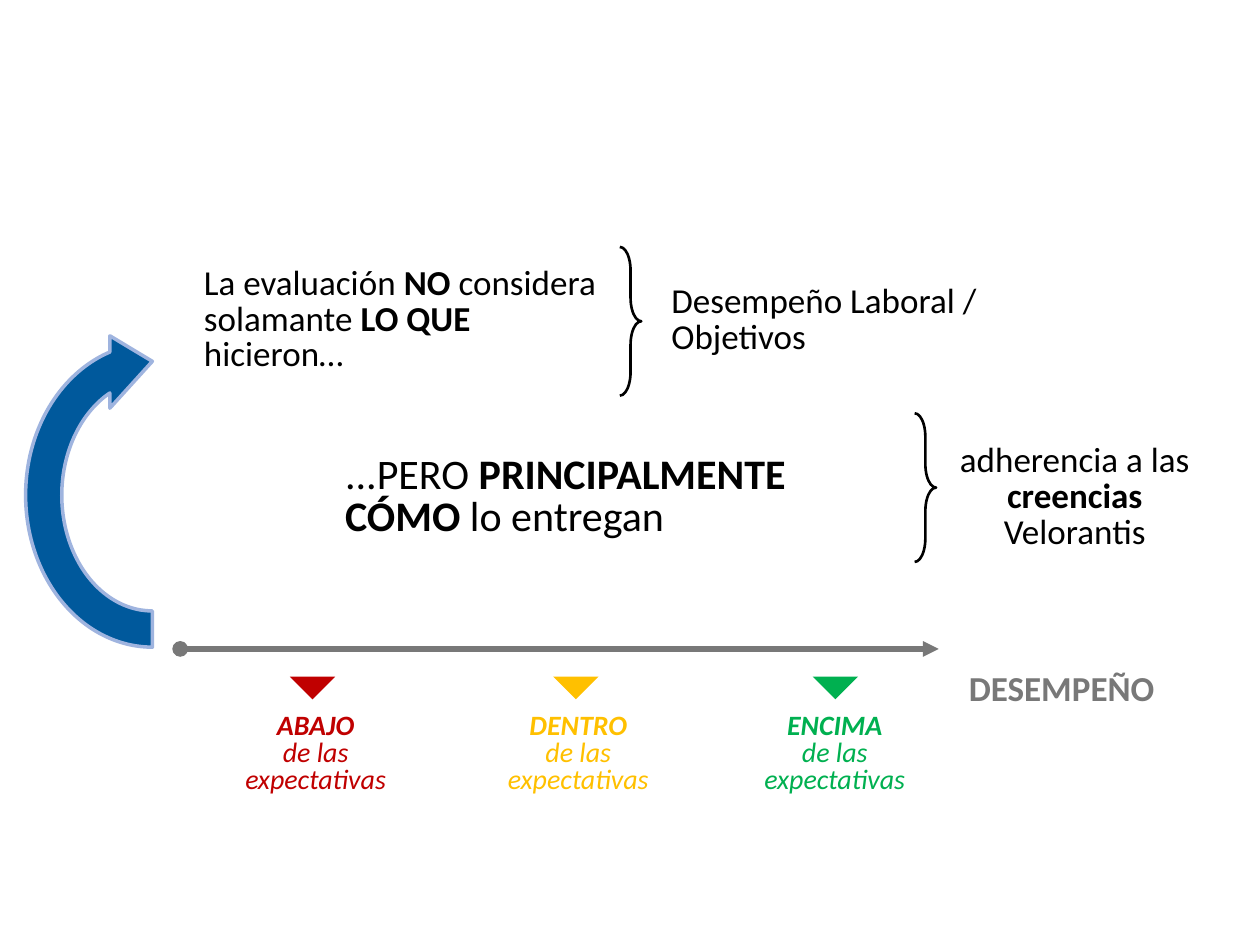
from lxml.etree import SubElement
from pptx import Presentation
from pptx.dml.color import RGBColor
from pptx.enum.shapes import MSO_CONNECTOR, MSO_SHAPE
from pptx.enum.text import MSO_ANCHOR, PP_ALIGN
from pptx.oxml.ns import qn
from pptx.util import Inches, Pt

BLACK = RGBColor(0x00, 0x00, 0x00)
BLUE = RGBColor(0x00, 0x59, 0x9C)
LIGHT_BLUE = RGBColor(0x9F, 0xB4, 0xDF)
GREY = RGBColor(0x78, 0x78, 0x78)
RED = RGBColor(0xC0, 0x00, 0x00)
AMBER = RGBColor(0xFF, 0xC0, 0x00)
GREEN = RGBColor(0x00, 0xB0, 0x50)


def add_text(shapes, box, runs, size=20, color=BLACK, align=PP_ALIGN.LEFT,
             anchor=MSO_ANCHOR.TOP, spacing=0.85, italic=False):
    """Add a text box; runs are (text, bold) pairs, a newline is a line break."""
    tf = shapes.add_textbox(*map(Inches, box)).text_frame
    tf.word_wrap = True
    tf.vertical_anchor = anchor
    p = tf.paragraphs[0]
    p.alignment = align
    p.line_spacing = spacing
    for text, bold in runs:
        for i, line in enumerate(text.split("\n")):
            if i:
                p.add_line_break()
            if line:
                r = p.add_run()
                r.text = line
                r.font.name = "Calibri"
                r.font.size = Pt(size)
                r.font.bold = bold
                r.font.italic = italic
                r.font.color.rgb = color


def add_shape(shapes, kind, box, fill=None, line=None, width=1.5, rotation=0):
    sp = shapes.add_shape(kind, *map(Inches, box))
    sp.shadow.inherit = False
    sp.rotation = rotation
    if fill is None:
        sp.fill.background()
    else:
        sp.fill.solid()
        sp.fill.fore_color.rgb = fill
    if line is None:
        sp.line.fill.background()
    else:
        sp.line.color.rgb = line
        sp.line.width = Pt(width)
    return sp


prs = Presentation()
prs.slide_width, prs.slide_height = Inches(10), Inches(7.5)
s = prs.slides.add_slide(prs.slide_layouts[6])

add_shape(s.shapes, MSO_SHAPE.CIRCULAR_ARROW, (-0.14, 2.78, 2.7, 2.3),
          fill=BLUE, line=LIGHT_BLUE, width=2, rotation=270)

# Statements and what each one measures
add_text(s.shapes, (2.64, 3.56, 4.67, 0.79),
         [("...PERO ", False), ("PRINCIPALMENTE CÓMO ", True),
          ("lo entregan", False)], size=24)
add_text(s.shapes, (5.23, 2.35, 2.99, 0.39),
         [("Desempeño Laboral / Objetivos", False)], anchor=MSO_ANCHOR.MIDDLE)
add_text(s.shapes, (1.52, 2.07, 3.51, 0.96),
         [("La evaluación ", False), ("NO ", True),
          ("considera solamante ", False), ("LO QUE\n", True),
          ("hicieron…", False)])
add_text(s.shapes, (7.36, 3.47, 2.34, 0.96),
         [("adherencia a las ", False), ("creencias\n", True),
          ("Velorantis", False)],
         align=PP_ALIGN.CENTER, anchor=MSO_ANCHOR.MIDDLE)

for left, top in ((4.92, 1.96), (7.26, 3.28)):
    brace = add_shape(s.shapes, MSO_SHAPE.LEFT_BRACE, (left, top, 0.17, 1.18),
                      line=BLACK)
    brace.adjustments[0] = 1.1
    brace._element.spPr.xfrm.set("flipH", "1")

# Performance scale
levels = (("ABAJO", RED, 2.3, 1.8, 1.41),
          ("DENTRO", AMBER, 4.39, 3.91, 1.36),
          ("ENCIMA", GREEN, 6.45, 5.95, 1.35))
for name, color, marker_left, label_left, label_width in levels:
    group = s.shapes.add_group_shape()
    add_shape(group.shapes, MSO_SHAPE.ISOSCELES_TRIANGLE,
              (marker_left, 5.37, 0.36, 0.18), fill=color, rotation=180)
    add_text(group.shapes, (label_left, 5.62, label_width, 0.53),
             [(name + "\n", True), ("de las expectativas", False)],
             size=16, color=color, align=PP_ALIGN.CENTER, spacing=0.8,
             italic=True)

add_text(s.shapes, (7.59, 5.24, 1.99, 0.44), [("DESEMPEÑO", True)],
         color=GREY, spacing=1.0)

axis = s.shapes.add_connector(MSO_CONNECTOR.STRAIGHT, Inches(1.43),
                              Inches(5.15), Inches(7.45), Inches(5.15))
axis.line.color.rgb = GREY
axis.line.width = Pt(3)
ln = axis.line._get_or_add_ln()
SubElement(ln, qn("a:headEnd"), type="oval")
SubElement(ln, qn("a:tailEnd"), type="triangle")
SubElement(axis._element.spPr, qn("a:effectLst"))

prs.save("out.pptx")
